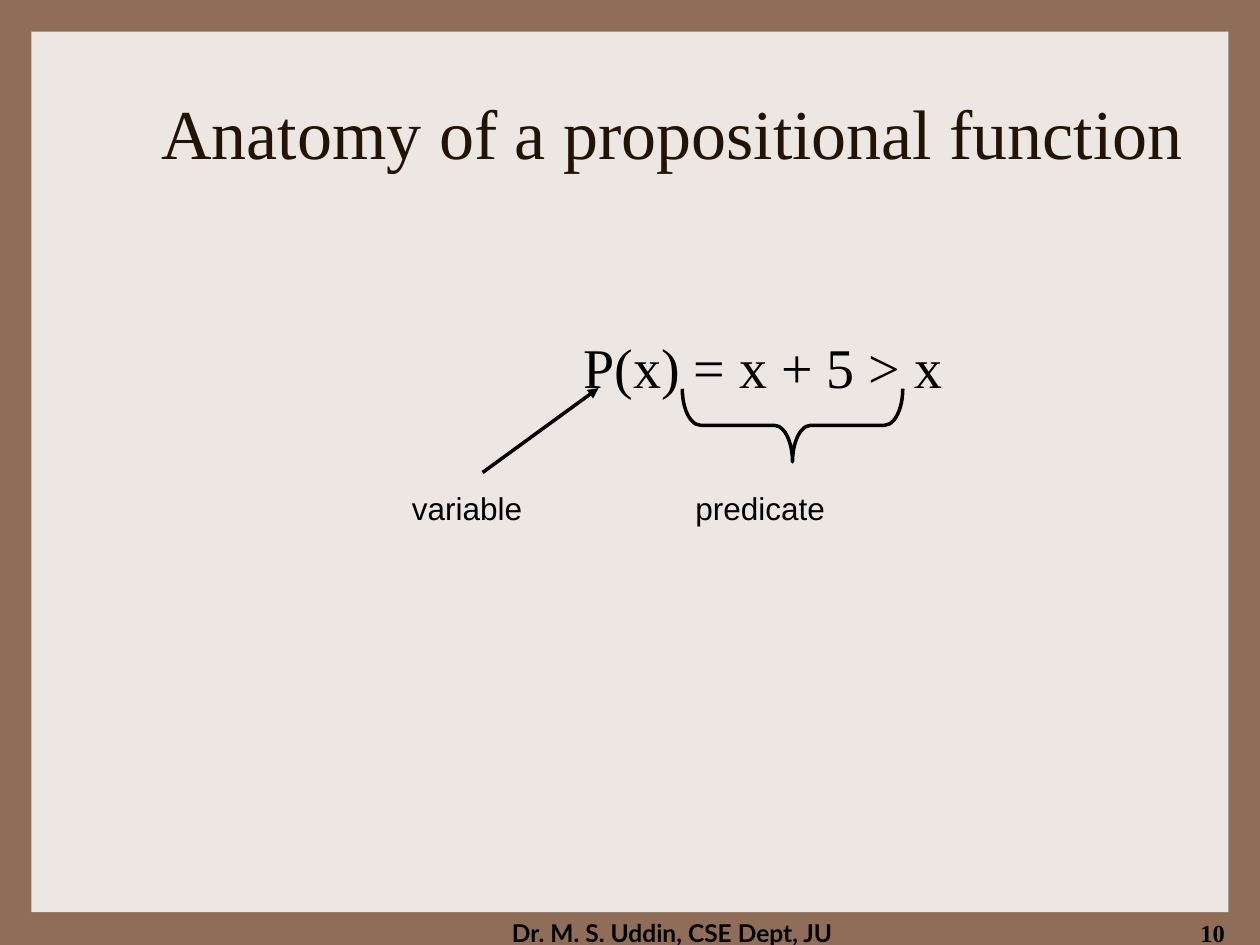
from dataclasses import dataclass

import pptx
import pptx.dml.color
import pptx.enum.shapes
import pptx.enum.text
import pptx.oxml
import pptx.oxml.ns
import pptx.util
from pptx.util import Inches

ALIGN = pptx.enum.text.PP_ALIGN
ANCHOR = pptx.enum.text.MSO_ANCHOR
SHAPES = pptx.enum.shapes.MSO_SHAPE


@dataclass(frozen=True)
class Theme:
    """Colours, fonts and type sizes of the slide."""
    frame: str = "906D58"
    panel: str = "EDE7E3"
    heading: str = "221304"
    ink: str = "000000"
    serif: str = "Times New Roman"
    sans: str = "Arial"
    footer_font: str = "Lato"
    title_size: int = 40
    formula_size: int = 32
    label_size: int = 18
    footer_size: int = 14
    stroke: int = 2


THEME = Theme()


def rgb(value):
    """Return a colour object for a hex string."""
    return pptx.dml.color.RGBColor.from_string(value)


def add_text(slide, text, left, top, width, height, *, size, font=THEME.serif,
             color=THEME.ink, bold=False, align=ALIGN.LEFT, anchor=ANCHOR.TOP,
             wrap=True, grow=False, inset=(0.1, 0.05)):
    """Add a one-paragraph text box with its left and top inset."""
    box = slide.shapes.add_textbox(Inches(left), Inches(top), Inches(width), Inches(height))
    frame = box.text_frame
    frame.word_wrap = wrap
    frame.vertical_anchor = anchor
    frame.margin_left, frame.margin_top = (Inches(gap) for gap in inset)
    if grow:
        frame.auto_size = pptx.enum.text.MSO_AUTO_SIZE.SHAPE_TO_FIT_TEXT
    paragraph = frame.paragraphs[0]
    paragraph.alignment = align
    run = paragraph.add_run()
    run.text = text
    run.font.size = pptx.util.Pt(size)
    run.font.name = font
    run.font.bold = bold
    run.font.color.rgb = rgb(color)


def add_panel(slide, left, top, width, height):
    """Add the light panel inside the coloured frame."""
    panel = slide.shapes.add_shape(
        SHAPES.RECTANGLE, Inches(left), Inches(top), Inches(width), Inches(height))
    panel.shadow.inherit = False
    panel.fill.solid()
    panel.fill.fore_color.rgb = rgb(THEME.panel)
    panel.line.fill.background()


def set_stroke(line):
    """Apply the common diagram stroke to a line."""
    line.color.rgb = rgb(THEME.ink)
    line.width = pptx.util.Pt(THEME.stroke)


def add_brace(slide, left, top, width, height):
    """Add a brace that opens upwards, given its unrotated box."""
    brace = slide.shapes.add_shape(
        SHAPES.LEFT_BRACE, Inches(left), Inches(top), Inches(width), Inches(height))
    brace.rotation = 270
    brace.adjustments[0] = 0.25
    brace.shadow.inherit = False
    brace.fill.background()
    set_stroke(brace.line)


def add_arrow(slide, start, end):
    """Add a straight arrow from start to end."""
    arrow = slide.shapes.add_connector(
        pptx.enum.shapes.MSO_CONNECTOR.STRAIGHT, *map(Inches, start + end))
    set_stroke(arrow.line)
    properties = arrow.element.spPr
    head = pptx.oxml.parse_xml(
        f'<a:tailEnd {pptx.oxml.ns.nsdecls("a")} type="triangle"/>')
    properties.find(pptx.oxml.ns.qn("a:ln")).append(head)
    properties.append(pptx.oxml.parse_xml(
        f'<a:effectLst {pptx.oxml.ns.nsdecls("a")}/>'))


def main():
    """Build and save the slide."""
    deck = pptx.Presentation()
    deck.slide_width, deck.slide_height = Inches(10), Inches(7.5)
    slide = deck.slides.add_slide(deck.slide_layouts[6])
    slide.background.fill.solid()
    slide.background.fill.fore_color.rgb = rgb(THEME.frame)

    add_panel(slide, 0.25, 0.25, 9.5, 6.99)
    add_text(slide, "Dr. M. S. Uddin, CSE Dept, JU", 3.75, 7.24, 3.17, 0.26,
             size=THEME.footer_size, font=THEME.footer_font, bold=True, align=ALIGN.CENTER)
    add_text(slide, "10", 7.74, 7.24, 2.08, 0.17,
             size=THEME.footer_size, bold=True, align=ALIGN.RIGHT)
    add_text(slide, "Anatomy of a propositional function", 1.17, 0.42, 8.33, 1.25,
             size=THEME.title_size, color=THEME.heading,
             align=ALIGN.CENTER, anchor=ANCHOR.MIDDLE)
    add_text(slide, "P(x) = x + 5 > x", 1.17, 1.92, 8.33, 4.5,
             size=THEME.formula_size, inset=(3.46, 0.72))

    add_brace(slide, 6, 2.5, 0.58, 1.75)
    for part, left, width in (("variable", 3.17, 1.08), ("predicate", 5.42, 1.23)):
        add_text(slide, part, left, 3.83, width, 0.4,
                 size=THEME.label_size, font=THEME.sans, wrap=False, grow=True)
    add_arrow(slide, (3.83, 3.75), (4.75, 3.08))

    deck.save("out.pptx")


if __name__ == "__main__":
    main()
